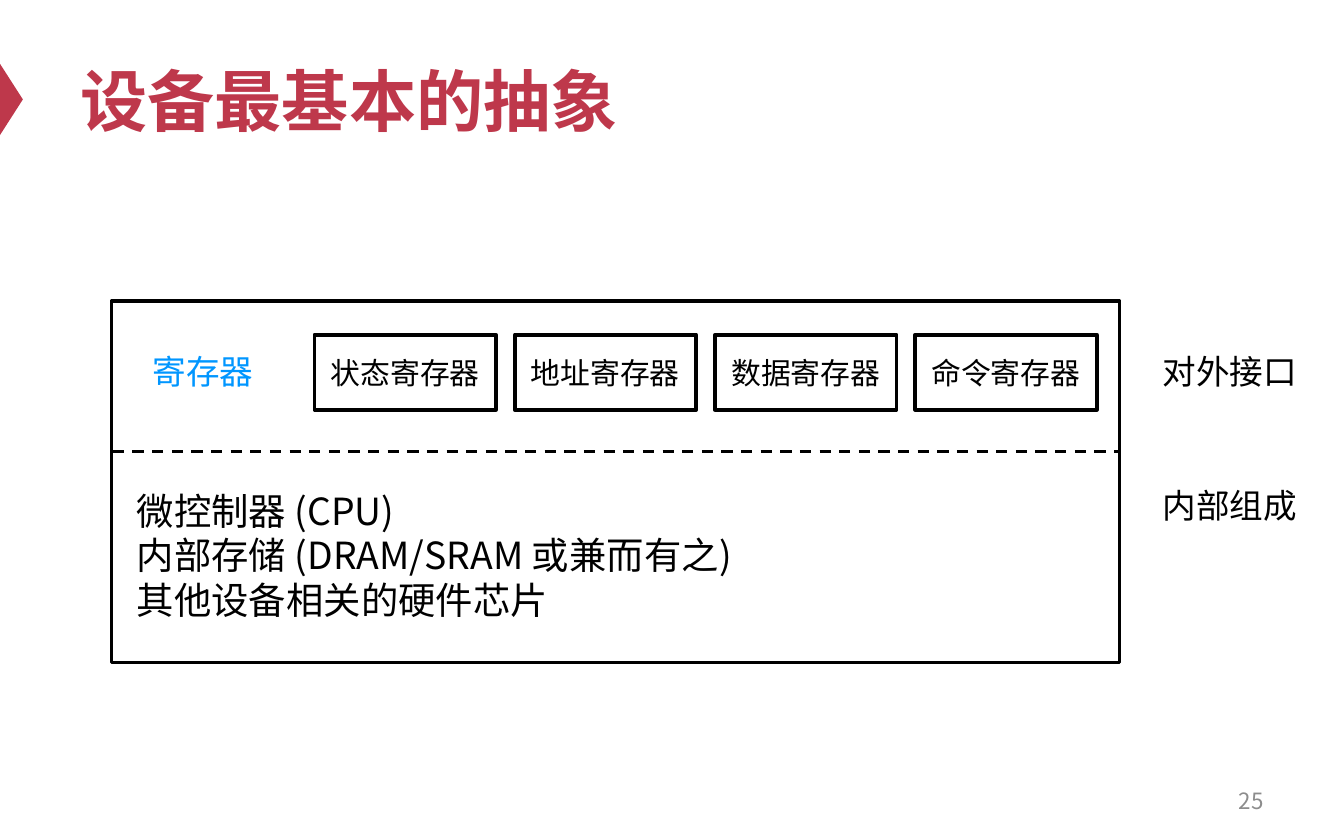
from dataclasses import dataclass

from lxml.etree import SubElement
from pptx import Presentation
from pptx.dml.color import RGBColor
from pptx.enum.dml import MSO_LINE
from pptx.enum.shapes import MSO_CONNECTOR, MSO_SHAPE
from pptx.enum.text import MSO_ANCHOR, PP_ALIGN
from pptx.oxml.ns import qn
from pptx.util import Inches, Pt


@dataclass(frozen=True)
class Theme:
    font: str = "Noto Sans CJK SC"
    red: RGBColor = RGBColor(0xBE, 0x38, 0x4B)
    blue: RGBColor = RGBColor(0x00, 0x96, 0xFF)
    black: RGBColor = RGBColor(0, 0, 0)
    gray: RGBColor = RGBColor(0x8C, 0x8C, 0x8C)
    title_size: int = 36
    body_size: int = 20
    label_size: int = 18
    register_size: int = 16
    number_size: int = 12


THEME = Theme()


def write(shape, lines, size, color, align=PP_ALIGN.CENTER, bold=False, spacing=None):
    frame = shape.text_frame
    frame.word_wrap = True
    frame.vertical_anchor = MSO_ANCHOR.MIDDLE
    frame.text = "\n".join(lines)
    for para in frame.paragraphs:
        para.alignment = align
        para.line_spacing = spacing
        for span in para.runs:
            span.font.name = THEME.font
            span.font.size = Pt(size)
            span.font.bold = bold
            span.font.color.rgb = color
            east_asian = SubElement(span.font._element, qn("a:ea"))
            east_asian.set("typeface", THEME.font)


def add_text(page, box, lines, size, color, **style):
    shape = page.shapes.add_textbox(*map(Inches, box))
    write(shape, lines, size, color, **style)


def add_frame(page, box):
    """Add an unfilled rectangle with a black outline."""
    shape = page.shapes.add_shape(MSO_SHAPE.RECTANGLE, *map(Inches, box))
    shape.shadow.inherit = False
    shape.fill.background()
    shape.line.color.rgb = THEME.black
    shape.line.width = Pt(2)
    return shape


def add_title(page, box, title):
    left, top, width, height = box
    marker_width, marker_height = 0.53, 0.17
    # The triangle is turned so that its base lies on the slide's left edge.
    marker = page.shapes.add_shape(
        MSO_SHAPE.ISOSCELES_TRIANGLE,
        Inches((marker_height - marker_width) / 2),
        Inches(top + (height - marker_height) / 2),
        Inches(marker_width), Inches(marker_height))
    marker.rotation = 90
    marker.shadow.inherit = False
    marker.fill.solid()
    marker.fill.fore_color.rgb = THEME.red
    marker.line.fill.background()
    add_text(page, box, [title], THEME.title_size, THEME.red,
             align=PP_ALIGN.LEFT, bold=True)


def add_registers(page, box, heading, names):
    left, top, width, height = box
    add_text(page, (left, top, 1.34, height), [heading], THEME.label_size, THEME.blue)
    first, step = left + 1.5, 1.49
    for index, name in enumerate(names):
        register = add_frame(page, (first + index * step, top + 0.01, 1.35, height))
        write(register, [name], THEME.register_size, THEME.black)


def add_divider(page, left, right, y):
    divider = page.shapes.add_connector(
        MSO_CONNECTOR.STRAIGHT, Inches(left), Inches(y), Inches(right), Inches(y))
    divider.line.color.rgb = THEME.black
    divider.line.width = Pt(1.5)
    divider.line.dash_style = MSO_LINE.DASH
    SubElement(divider._element.spPr, qn("a:effectLst"))


def add_device(page, box):
    left, top, width, height = box
    add_frame(page, box)
    add_divider(page, left + 0.01, left + width - 0.01, top + 1.12)
    add_registers(page, (left + 0.01, top + 0.24, width, 0.56), "寄存器",
                  ["状态寄存器", "地址寄存器", "数据寄存器", "命令寄存器"])
    add_text(page, (left + 0.09, top + 1.24, 7.24, 1.3),
             ["微控制器 (CPU)", "内部存储 (DRAM/SRAM 或兼而有之)", "其他设备相关的硬件芯片"],
             THEME.body_size, THEME.black, align=PP_ALIGN.LEFT, spacing=Pt(24))


def add_side_labels(page, box, labels):
    left, top, width, height = box
    for index, label in enumerate(labels):
        add_text(page, (left, top + index, width, height), [label],
                 THEME.label_size, THEME.black)


def main():
    deck = Presentation()
    deck.slide_width, deck.slide_height = Inches(10), Inches(6.25)
    page = deck.slides.add_slide(deck.slide_layouts[6])
    add_title(page, (0.5, 0.25, 9, 0.98), "设备最基本的抽象")
    add_device(page, (0.83, 2.24, 7.5, 2.69))
    add_side_labels(page, (8.48, 2.48, 1.34, 0.56), ["对外接口", "内部组成"])
    add_text(page, (7.17, 5.79, 2.33, 0.33), ["25"], THEME.number_size, THEME.gray,
             align=PP_ALIGN.RIGHT)
    deck.save("out.pptx")


if __name__ == "__main__":
    main()
